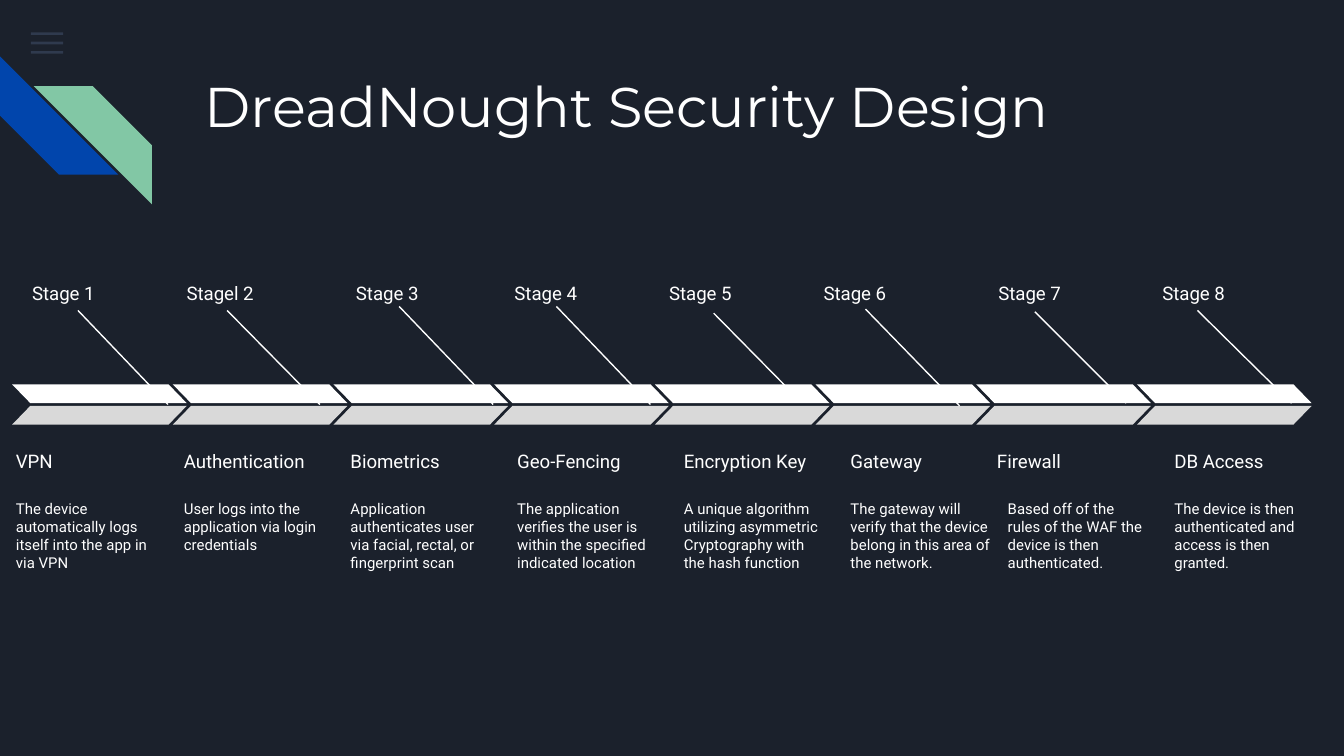
from typing import NamedTuple

from lxml.etree import SubElement
from pptx import Presentation
from pptx.dml.color import RGBColor
from pptx.enum.shapes import MSO_CONNECTOR, MSO_SHAPE
from pptx.enum.text import MSO_ANCHOR, PP_ALIGN
from pptx.oxml.ns import qn
from pptx.util import Inches, Pt


class Theme(NamedTuple):
    back: str = "1B212C"
    menu: str = "55688B"
    blue: str = "0145AC"
    green: str = "82C7A5"
    white: str = "FFFFFF"
    gray: str = "D9D9D9"
    title: int = 30
    head: int = 10
    body: int = 8


theme = Theme()

deck = Presentation()
deck.slide_width = Inches(10)
deck.slide_height = Inches(10) * 9 // 16
slide = deck.slides.add_slide(deck.slide_layouts[5])
slide.background.fill.solid()
slide.background.fill.fore_color.rgb = RGBColor.from_string(theme.back)


def write(text, at, size, font="Roboto", anchor=MSO_ANCHOR.TOP, after=0, box=None):
    spot = [Inches(n) for n in at]
    if box is None:
        box = slide.shapes.add_textbox(*spot)
    box.left, box.top, box.width, box.height = spot
    frame = box.text_frame
    frame.word_wrap = True
    frame.vertical_anchor = anchor
    frame.margin_left = frame.margin_right = Inches(0.1)
    frame.margin_top = frame.margin_bottom = Inches(0.1)
    line = frame.paragraphs[0]
    line.alignment = PP_ALIGN.LEFT
    line.space_after = Pt(after)
    run = line.add_run()
    run.text = text
    run.font.size = Pt(size)
    run.font.name = font
    run.font.color.rgb = RGBColor.from_string(theme.white)


def draw(kind, at, color, adjust=None, flip=False, turn=0, alpha=None):
    shape = slide.shapes.add_shape(kind, *[Inches(n) for n in at])
    shape.shadow.inherit = False
    shape.fill.solid()
    shape.fill.fore_color.rgb = RGBColor.from_string(color)
    shape.line.fill.background()
    shape.rotation = turn
    if adjust is not None:
        shape.adjustments[0] = adjust
    if flip:
        shape.element.spPr.find(qn("a:xfrm")).set("flipH", "1")
    if alpha is not None:
        tone = shape.element.spPr.find(".//" + qn("a:srgbClr"))
        SubElement(tone, qn("a:alpha")).set("val", str(alpha * 1000))


for row in range(3):
    draw(MSO_SHAPE.RECTANGLE, (0.23, 0.24 + 0.07 * row, 0.24, 0.02), theme.menu, alpha=36)

draw(MSO_SHAPE.DIAGONAL_STRIPE, (0, 0.42, 0.88, 0.88), theme.blue, adjust=0.5, turn=270)
draw(MSO_SHAPE.DIAGONAL_STRIPE, (0.25, 0.64, 0.88, 0.88), theme.green, adjust=0.5, flip=True)

write("DreadNought Security Design", (1.42, 0.43, 7.7, 1), theme.title,
      font="Montserrat", box=slide.shapes.title)

stages = [
    ("Stage 1", 0.14, "VPN", 0.02, 0.02, (0.58, 2.31, 1.25, 3.01),
     "The device automatically logs itself into the app in via VPN"),
    ("Stagel 2", 1.29, "Authentication", 1.27, 1.27, (1.69, 2.31, 2.38, 3.01),
     "User logs into the application via login credentials"),
    ("Stage 3", 2.55, "Biometrics", 2.51, 2.51, (2.97, 2.28, 3.67, 3.01),
     "Application authenticates user via facial, rectal, or fingerprint scan"),
    ("Stage 4", 3.73, "Geo-Fencing", 3.75, 3.75, (4.14, 2.28, 4.84, 3.01),
     "The application verifies the user is within the specified indicated location"),
    ("Stage 5", 4.88, "Encryption Key", 4.99, 4.99, (5.31, 2.33, 5.96, 2.99),
     "A unique algorithm utilizing asymmetric Cryptography with the hash function"),
    ("Stage 6", 6.03, "Gateway", 6.23, 6.23, (6.44, 2.3, 7.14, 3.02),
     "The gateway will verify that the device belong in this area of the network."),
    ("Stage 7", 7.33, "Firewall", 7.32, 7.4, (7.7, 2.32, 8.38, 3),
     "Based off of the rules of the WAF the device is then authenticated."),
    ("Stage 8", 8.55, "DB Access", 8.64, 8.64, (8.91, 2.31, 9.61, 3),
     "The device is then authenticated and access is then granted."),
]
first, last = 0.09, 8.46
step = (last - first) / (len(stages) - 1)

for i, (stage, left, name, head, body, ends, about) in enumerate(stages):
    wide = 1.28 if i == 0 else 1.24
    x = first + step * i
    draw(MSO_SHAPE.PARALLELOGRAM, (x, 2.86, 1.3, 0.14), theme.white, adjust=0.97, flip=True)
    draw(MSO_SHAPE.PARALLELOGRAM, (x, 3.02, 1.3, 0.14), theme.gray, adjust=0.97)
    write(stage, (left, 1.91, wide, 0.44), theme.head, anchor=MSO_ANCHOR.BOTTOM)
    write(name, (head, 3.16, wide, 0.44), theme.head, anchor=MSO_ANCHOR.BOTTOM)
    write(about, (body, 3.62, wide, 0.73), theme.body, after=16)
    link = slide.shapes.add_connector(MSO_CONNECTOR.STRAIGHT, *[Inches(n) for n in ends])
    link.line.color.rgb = RGBColor.from_string(theme.white)
    link.line.width = Pt(0.75)
    SubElement(link.element.spPr, qn("a:effectLst"))

deck.save("out.pptx")
